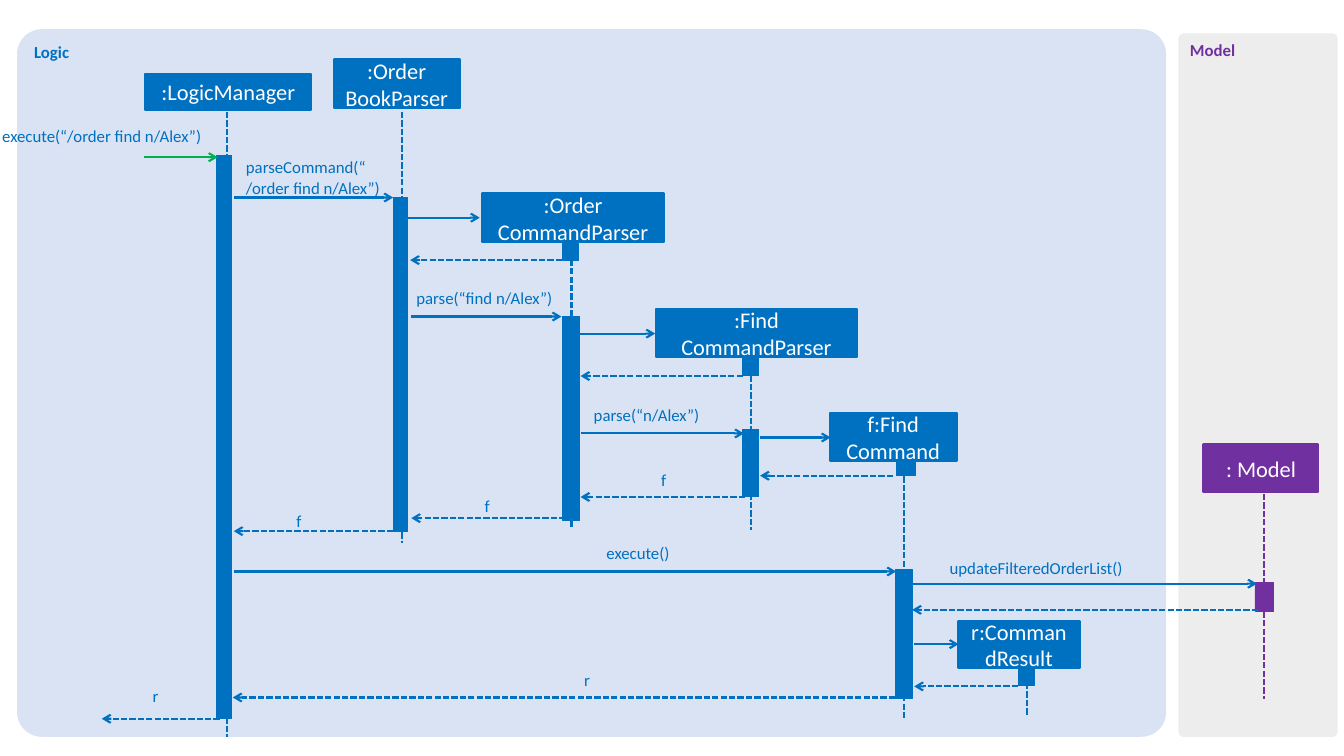
from pptx import Presentation
from pptx.dml.color import RGBColor
from pptx.enum.dml import MSO_LINE
from pptx.enum.shapes import MSO_CONNECTOR, MSO_SHAPE
from pptx.enum.text import MSO_ANCHOR, PP_ALIGN
from pptx.oxml.ns import qn
from pptx.util import Pt
from lxml.etree import SubElement

COLORS = {"blue": "0070C0", "purple": "7030A0", "green": "00B050",
          "logic": "DAE3F3", "model": "EDEDED", "white": "FFFFFF"}
FONT = "Calibri"
LABEL_LINE = 14.4

# name, fill, text colour, (left, top, width, height)
PANELS = [
    ("Logic", "logic", "blue", (12.2, 20.9, 820.8, 505.4)),
    ("Model", "model", "purple", (841.7, 23.8, 113.8, 502.6)),
]

# name, colour, head box, lifeline (x, top, bottom), activation bars
PARTICIPANTS = [
    (":LogicManager", "blue", (103.7, 52.6, 118.8, 25.9), (162, 79.9, 526.3),
     [(154.8, 110.9, 10.8, 402.5)]),
    (":Order\nBookParser", "blue", (238.3, 42.5, 90, 34.6), (287, 79.9, 388.1),
     [(280.8, 141.1, 10.1, 238.3)]),
    (":Order\nCommandParser", "blue", (344.2, 138.2, 130.3, 34.6), (408.2, 173.5, 377.3),
     [(401.8, 173.5, 11.5, 12.2), (401.8, 226.1, 12.2, 145.4)]),
    (":Find\vCommandParser", "blue", (468.7, 221, 143.3, 33.8), (536.4, 256.3, 378.7),
     [(530.6, 256.3, 11.5, 12.2), (530.6, 306.7, 11.5, 48.2)]),
    ("f:Find\vCommand", "blue", (592.6, 295.2, 90.7, 33.8), (645.8, 328.3, 513.4),
     [(640.1, 329.8, 13.7, 10.1), (639.4, 406.8, 12.2, 92.2)]),
    (": Model", "purple", (859.7, 317.5, 82.1, 33.8), (902.9, 352.8, 499),
     [(896.4, 416.2, 13, 20.2)]),
    ("r:CommandResult", "blue", (684.7, 443.5, 86.4, 33.8), (733.7, 475.9, 510.5),
     [(727.2, 477.4, 11.5, 12.2)]),
]

# from x, to x, y; an arrow to the left is a dashed return
MESSAGES = [
    (103, 155.5, 112.3), (167, 280.8, 141.1), (291.6, 342.7, 155.5),
    (407.5, 293, 185.8), (293.8, 401, 226.1), (414, 468, 238.3),
    (530.6, 414.7, 268.6), (414.7, 531.4, 309.6), (542.9, 593.3, 312.5),
    (637.9, 542.9, 339.8), (532.1, 414.7, 355), (403.9, 293.8, 370.1),
    (280.8, 167, 379.4), (167, 640.1, 408.2), (652.3, 897.8, 416.9),
    (898.6, 651.6, 435.6), (653, 684.7, 460.1), (727.2, 653, 490.3),
    (639.4, 166.3, 498.2), (157, 72.7, 513.4),
]

# text, left, top, width, alignment
LEFT, CENTER = PP_ALIGN.LEFT, PP_ALIGN.CENTER
LABELS = [
    ("execute(“/order find n/Alex”)", -19.4, 90, 184.3, CENTER),
    ("parseCommand(“\n/order find n/Alex”)", 175.7, 112.3, 103.7, LEFT),
    ("parse(“find n/Alex”)", 297.4, 205.2, 103, LEFT),
    ("parse(“n/Alex”)", 424.1, 289.4, 95, LEFT),
    ("f", 424.8, 335.5, 98.6, CENTER),
    ("f", 298.8, 354.2, 98.6, CENTER),
    ("f", 164.2, 365, 98.6, CENTER),
    ("execute()", 363.6, 387.4, 184.3, CENTER),
    ("updateFilteredOrderList()", 648, 398.2, 184.3, CENTER),
    ("r", 370.1, 478.1, 98.6, CENTER),
    ("r", 61.9, 489.6, 98.6, CENTER),
]


def rgb(name):
    return RGBColor.from_string(COLORS[name])


def write(tf, text, size, color, align=LEFT, bold=False):
    tf.word_wrap = True
    tf.text = text
    for p in tf.paragraphs:
        p.alignment = align
        for r in p.runs:
            r.font.name, r.font.size, r.font.bold = FONT, Pt(size), bold
            r.font.color.rgb = rgb(color)


def add_box(s, box, fill, line_width=0, kind=MSO_SHAPE.RECTANGLE):
    sp = s.shapes.add_shape(kind, *map(Pt, box))
    sp.shadow.inherit = False
    sp.fill.solid()
    sp.fill.fore_color.rgb = rgb(fill)
    if line_width:
        sp.line.color.rgb = rgb(fill)
        sp.line.width = Pt(line_width)
    else:
        sp.line.fill.background()
    return sp


def add_line(s, x1, y1, x2, y2, color, dashed=False, arrow=False):
    cx = s.shapes.add_connector(MSO_CONNECTOR.STRAIGHT, Pt(x1), Pt(y1), Pt(x2), Pt(y2))
    cx.line.color.rgb = rgb(color)
    cx.line.width = Pt(1.5)
    if dashed:
        cx.line.dash_style = MSO_LINE.SQUARE_DOT
    if arrow:
        SubElement(cx.line._get_or_add_ln(), qn("a:tailEnd"), type="arrow")
    SubElement(cx._element.spPr, qn("a:effectLst"))


def main():
    prs = Presentation()
    prs.slide_width, prs.slide_height = Pt(960), Pt(540)
    s = prs.slides.add_slide(prs.slide_layouts[6])

    # Component panels
    for name, fill, color, box in PANELS:
        sp = add_box(s, box, fill, kind=MSO_SHAPE.ROUNDED_RECTANGLE)
        sp.adjustments[0] = 0.035
        sp.text_frame.vertical_anchor = MSO_ANCHOR.TOP
        write(sp.text_frame, name, 12, color, bold=True)

    # Participants: lifeline, head, activation bars
    for name, color, head, (x, top, bottom), bars in PARTICIPANTS:
        add_line(s, x, top, x, bottom, color, dashed=True)
        sp = add_box(s, head, color, 1.5)
        sp.text_frame.vertical_anchor = MSO_ANCHOR.MIDDLE
        write(sp.text_frame, name, 16, "white", CENTER)
        for bar in bars:
            add_box(s, bar, color, 0.5)

    # Messages; the incoming call is green
    for i, (x1, x2, y) in enumerate(MESSAGES):
        add_line(s, x1, y, x2, y, "blue" if i else "green", dashed=x2 < x1, arrow=True)

    # Message labels
    for text, left, top, width, align in LABELS:
        height = LABEL_LINE * len(text.split("\n"))
        tf = s.shapes.add_textbox(Pt(left), Pt(top), Pt(width), Pt(height)).text_frame
        tf.margin_left = tf.margin_right = tf.margin_top = tf.margin_bottom = 0
        write(tf, text, 12, "blue", align)

    prs.save("out.pptx")


if __name__ == "__main__":
    main()
